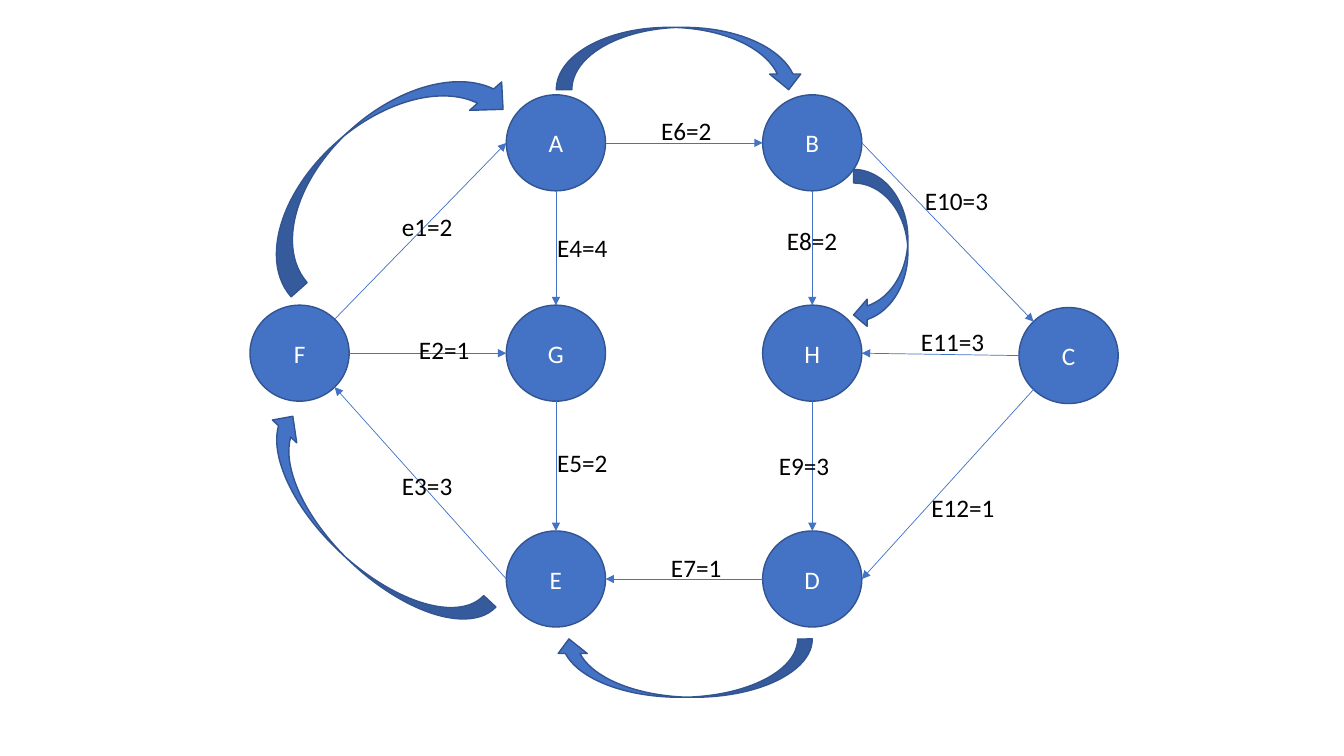
from lxml import etree
from pptx import Presentation
from pptx.dml.color import RGBColor
from pptx.enum.shapes import MSO_CONNECTOR, MSO_SHAPE
from pptx.enum.text import MSO_ANCHOR, MSO_AUTO_SIZE, PP_ALIGN
from pptx.oxml.ns import qn
from pptx.util import Cm, Pt

STRAIGHT = MSO_CONNECTOR.STRAIGHT
OVAL, CURVED_ARROW = MSO_SHAPE.OVAL, MSO_SHAPE.CURVED_DOWN_ARROW
MIDDLE, FIT_SHAPE = MSO_ANCHOR.MIDDLE, MSO_AUTO_SIZE.SHAPE_TO_FIT_TEXT
LEFT, CENTER = PP_ALIGN.LEFT, PP_ALIGN.CENTER
BLUE, DARK_BLUE, WHITE, BLACK = "4472C4", "325491", "FFFFFF", "000000"

# Content: lengths in centimetres
NODE_WIDTH, NODE_HEIGHT = 2.5, 2.42
COLUMNS = [7.55 + 6.46 * step for step in range(4)]
ROWS = [3.6, 8.9, 14.59]
NODES = {  # name: centre
    "A": (COLUMNS[1], ROWS[0]), "F": (COLUMNS[0], ROWS[1]),
    "G": (COLUMNS[1], ROWS[1]), "H": (COLUMNS[2], ROWS[1]),
    "B": (COLUMNS[2], ROWS[0]), "C": (COLUMNS[3], ROWS[1] + 0.06),
    "D": (COLUMNS[2], ROWS[2]), "E": (COLUMNS[1], ROWS[2]),
}
EDGES = [  # from node, side, to node, side
    ("A", "right", "B", "left"), ("B", "right", "C", "top left"),
    ("C", "bottom left", "D", "right"), ("D", "left", "E", "right"),
    ("E", "left", "F", "bottom right"), ("F", "top right", "A", "left"),
    ("F", "right", "G", "left"), ("C", "left", "H", "right"),
    ("B", "bottom", "H", "top"), ("A", "bottom", "G", "top"),
    ("G", "bottom", "E", "top"), ("H", "bottom", "D", "top"),
]
LABEL_WIDTH, LABEL_HEIGHT = 2.21, 1.02
LABELS = [  # text, left, top
    ("e1=2", 9.88, 5.21), ("E2=1", 10.31, 8.31), ("E3=3", 9.88, 11.73),
    ("E4=4", 13.79, 5.72), ("E5=2", 13.79, 11.15), ("E6=2", 16.41, 2.79),
    ("E7=1", 16.66, 13.79), ("E8=2", 19.58, 5.56), ("E9=3", 19.38, 11.23),
    ("E10=3", 23.06, 4.55), ("E11=3", 22.96, 8.1), ("E12=1", 23.22, 12.27),
]
ROUTE = [  # left, top, width, height, rotation
    (13.97, 16.1, 6.5, 1.47, 180),
    (5.49, 12.52, 7.44, 1.68, 223.2),
    (5.66, 3.05, 7.67, 2.16, 318.5),
    (14.02, 0.69, 6.25, 1.57, 0),
    (20.19, 5.59, 4.01, 1.37, 90),
]

# Connection sites of an ellipse: index, horizontal and vertical direction
DIAGONAL = 0.5 ** 0.5
SITES = {
    "top": (0, 0, -1), "top left": (1, -DIAGONAL, -DIAGONAL),
    "left": (2, -1, 0), "bottom left": (3, -DIAGONAL, DIAGONAL),
    "bottom": (4, 0, 1), "bottom right": (5, DIAGONAL, DIAGONAL),
    "right": (6, 1, 0), "top right": (7, DIAGONAL, -DIAGONAL),
}


def color(value):
    return RGBColor.from_string(value)


def write(frame, text, fill=BLACK, align=LEFT):
    para = frame.paragraphs[0]
    para.alignment = align
    span = para.add_run()
    span.text = text
    span.font.name = "Calibri"
    span.font.size = Pt(18)
    span.font.color.rgb = color(fill)


def add_blue_shape(kind, left, top, width, height):
    shape = page.shapes.add_shape(kind, Cm(left), Cm(top), Cm(width), Cm(height))
    shape.shadow.inherit = False
    shape.fill.solid()
    shape.fill.fore_color.rgb = color(BLUE)
    shape.line.color.rgb = color(DARK_BLUE)
    shape.line.width = Pt(1)
    return shape


def site_point(node, side):
    center_x, center_y = NODES[node]
    _, across, down = SITES[side]
    return (Cm(center_x + across * NODE_WIDTH / 2),
            Cm(center_y + down * NODE_HEIGHT / 2))


def add_edge(start, start_side, end, end_side):
    edge = page.shapes.add_connector(
        STRAIGHT, *site_point(start, start_side), *site_point(end, end_side))
    edge.line.color.rgb = color(BLUE)
    edge.line.width = Pt(0.5)
    etree.SubElement(edge.line._get_or_add_ln(), qn("a:tailEnd"), type="triangle")
    etree.SubElement(edge._element.spPr, qn("a:effectLst"))
    # Glue both ends to their nodes
    glue = edge._element.nvCxnSpPr.cNvCxnSpPr
    for tag, node, side in (("a:stCxn", start, start_side),
                            ("a:endCxn", end, end_side)):
        etree.SubElement(glue, qn(tag), id=str(circles[node].shape_id),
                         idx=str(SITES[side][0]))


deck = Presentation()
deck.slide_width, deck.slide_height = Cm(33.87), Cm(19.05)
page = deck.slides.add_slide(deck.slide_layouts[6])

# Nodes
circles = {}
for name, (center_x, center_y) in NODES.items():
    circle = add_blue_shape(OVAL, center_x - NODE_WIDTH / 2,
                            center_y - NODE_HEIGHT / 2, NODE_WIDTH, NODE_HEIGHT)
    circle.text_frame.vertical_anchor = MIDDLE
    write(circle.text_frame, name, fill=WHITE, align=CENTER)
    circles[name] = circle

# Edges
for edge_ends in EDGES:
    add_edge(*edge_ends)

# Edge weights
for text, left, top in LABELS:
    box = page.shapes.add_textbox(Cm(left), Cm(top), Cm(LABEL_WIDTH), Cm(LABEL_HEIGHT))
    box.text_frame.word_wrap = True
    box.text_frame.auto_size = FIT_SHAPE
    write(box.text_frame, text)

# Curved route arrows
for *frame, rotation in ROUTE:
    add_blue_shape(CURVED_ARROW, *frame).rotation = rotation

deck.save("out.pptx")
